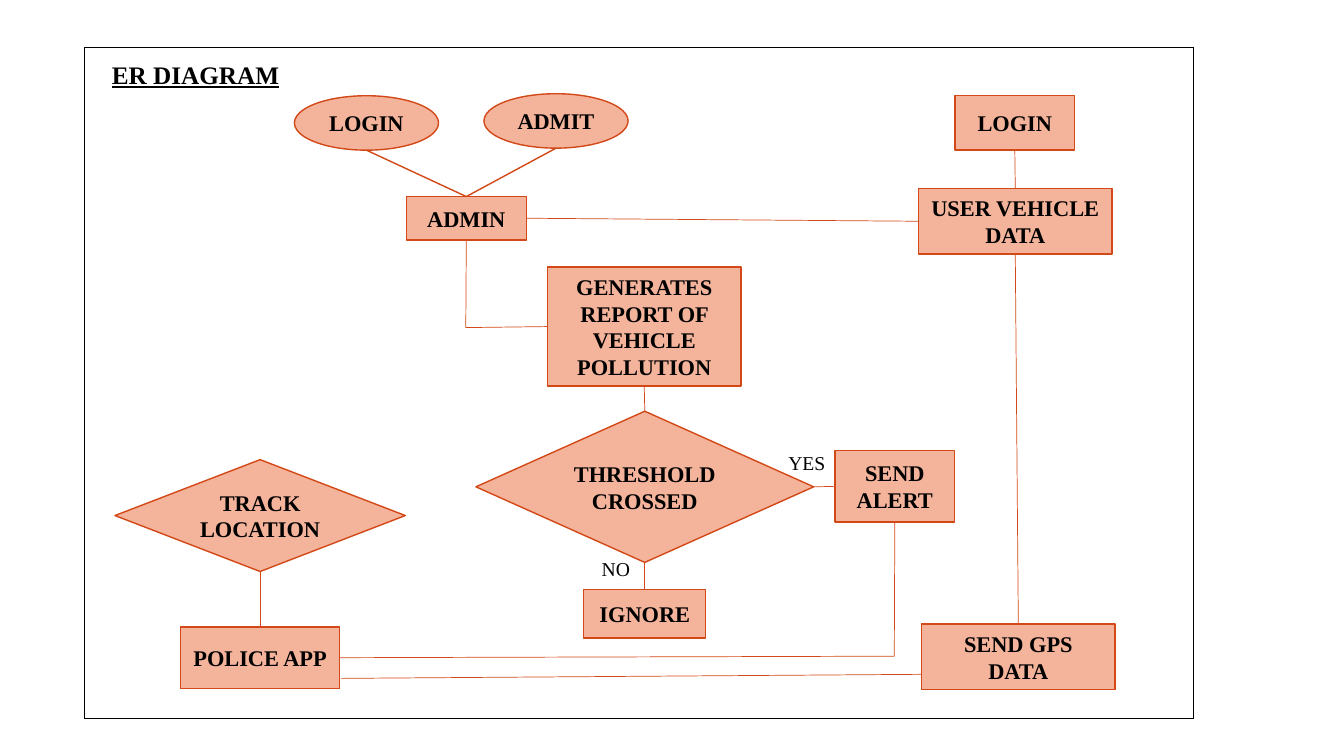
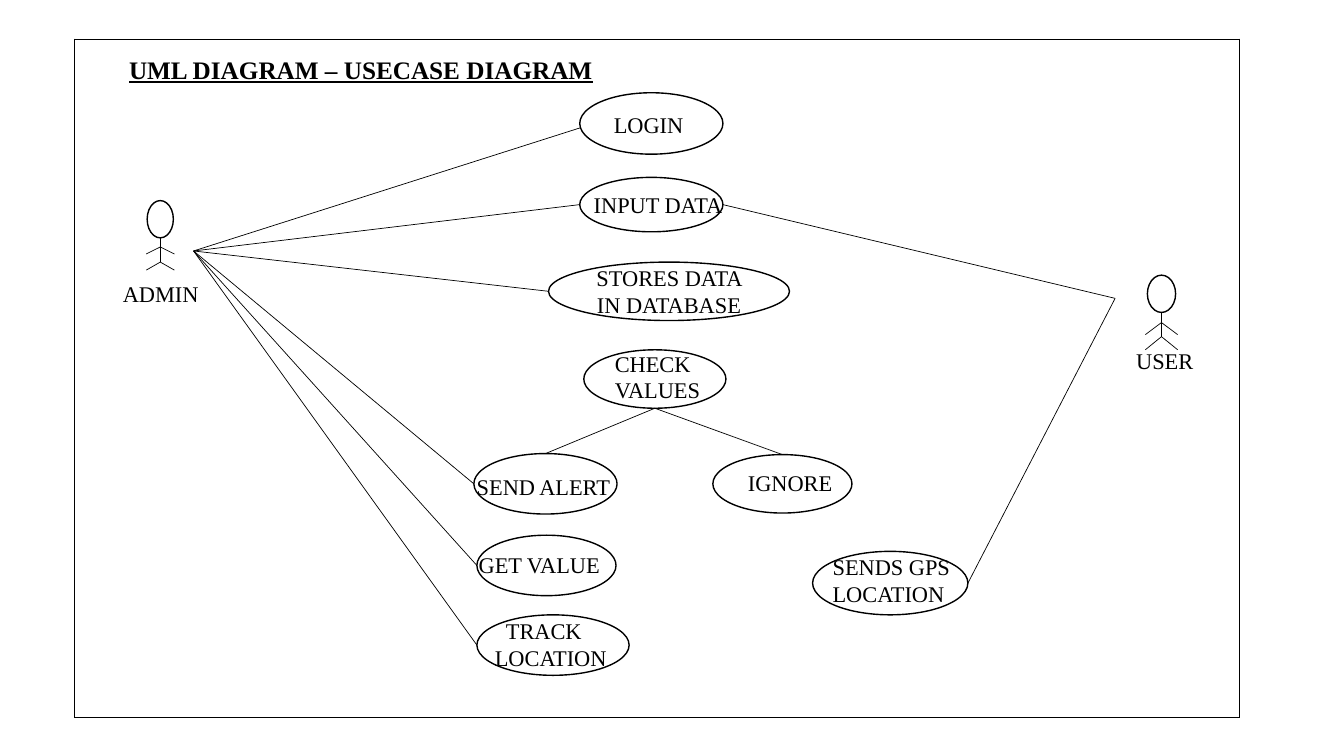
from lxml import etree
from pptx import Presentation
from pptx.dml.color import RGBColor
from pptx.enum.shapes import MSO_CONNECTOR, MSO_SHAPE
from pptx.enum.text import MSO_ANCHOR, MSO_AUTO_SIZE, PP_ALIGN
from pptx.oxml.ns import qn
from pptx.util import Inches, Pt

COLORS = {"ink": "000000", "paper": "FFFFFF", "peach": "F4B39B", "rust": "D34817"}
FONT = "Times New Roman"
RECT, OVAL = MSO_SHAPE.RECTANGLE, MSO_SHAPE.OVAL
DIAMOND, HEAD = MSO_SHAPE.FLOWCHART_DECISION, MSO_SHAPE.FLOWCHART_CONNECTOR
TOP, LEFT, BOTTOM, RIGHT = range(4)

ER_TITLE = ("ER DIAGRAM", (1.01, 0.57, 11.08, 0.4))
ER_FRAME = (0.84, 0.47, 11, 6.66)
ER_NODES = {
    "admin login": (OVAL, (2.92, 0.95, 1.43, 0.54), "LOGIN"),
    "admit": (OVAL, (4.8, 0.93, 1.43, 0.54), "ADMIT"),
    "admin": (RECT, (4.03, 1.95, 1.19, 0.43), "ADMIN"),
    "report": (RECT, (5.43, 2.65, 1.92, 1.18), "GENERATES REPORT OF VEHICLE POLLUTION"),
    "vehicle login": (RECT, (9.47, 0.95, 1.19, 0.54), "LOGIN"),
    "vehicle data": (RECT, (9.11, 1.87, 1.92, 0.65), "USER VEHICLE DATA"),
    "threshold": (DIAMOND, (4.72, 4.08, 3.35, 1.5), "THRESHOLD CROSSED"),
    "track": (DIAMOND, (1.14, 4.56, 2.88, 1.11), "TRACK LOCATION"),
    "police": (RECT, (1.79, 6.22, 1.58, 0.61), "POLICE APP"),
    "ignore": (RECT, (5.79, 5.85, 1.21, 0.48), "IGNORE"),
    "alert": (RECT, (8.28, 4.47, 1.19, 0.71), "SEND ALERT"),
    "gps": (RECT, (9.14, 6.19, 1.92, 0.65), "SEND GPS DATA"),
}
REPORT_BEND, ALERT_BEND = (4.62, 3.25), (8.87, 6.51)
ER_ATTRIBUTE_LINKS = [
    (("admin login", BOTTOM), ("admin", TOP)),
    (("admit", BOTTOM), ("admin", TOP)),
]
ER_LINKS = [
    (("admin", RIGHT), ("vehicle data", LEFT)),
    (("admin", BOTTOM), REPORT_BEND),
    (("report", LEFT), REPORT_BEND),
    (("vehicle login", BOTTOM), ("vehicle data", TOP)),
    (("vehicle data", BOTTOM), ("gps", TOP)),
    (("report", BOTTOM), ("threshold", TOP)),
    (("threshold", BOTTOM), ("ignore", TOP)),
    (("threshold", RIGHT), ("alert", LEFT)),
    (("track", BOTTOM), ("police", TOP)),
    ((3.38, 6.73), (9.14, 6.69)),
    (("police", RIGHT), ALERT_BEND),
    (("alert", BOTTOM), ALERT_BEND),
]
ER_LABELS = [("YES", (7.72, 4.42, 1.11, 0.34)), ("NO", (5.87, 5.48, 0.5, 0.34))]

UML_TITLE = ("UML DIAGRAM – USECASE DIAGRAM", (1.18, 0.52, 5.64, 0.4))
UML_FRAME = (0.74, 0.39, 11.55, 6.73)
USE_CASES = {
    "login": (OVAL, (5.75, 0.92, 1.42, 0.61), ""),
    "input": (OVAL, (5.75, 1.76, 1.42, 0.54), ""),
    "store": (OVAL, (5.44, 2.6, 2.39, 0.58), "STORES DATA IN DATABASE"),
    "check": (OVAL, (5.79, 3.47, 1.41, 0.58), ""),
    "alert": (OVAL, (4.7, 4.5, 1.42, 0.6), ""),
    "ignore": (OVAL, (7.07, 4.51, 1.38, 0.58), ""),
    "track": (OVAL, (4.73, 6.1, 1.51, 0.6), ""),
    "value": (OVAL, (4.73, 5.31, 1.38, 0.6), ""),
    "gps": (OVAL, (8.06, 5.47, 1.54, 0.63), ""),
}
UML_LABELS = [
    ("LOGIN", (5.99, 1.05, 1.03, 0.37)),
    ("INPUT DATA", (5.79, 1.85, 1.71, 0.37)),
    ("CHECK\nVALUES", (6, 3.42, 3.93, 0.64)),
    ("SEND ALERT", (4.63, 4.64, 1.77, 0.37)),
    ("IGNORE", (7.32, 4.61, 1.63, 0.37)),
    ("GET VALUE", (4.65, 5.42, 1.77, 0.37)),
    ("SENDS GPS\nLOCATION", (8.16, 5.44, 1.8, 0.64)),
    ("ADMIN", (1.12, 2.73, 1.15, 0.37)),
    ("USER", (11.17, 3.39, 0.88, 0.37)),
]
TRACK_LABEL = ("TRACK\nLOCATION", (4.81, 6.07, 1.51, 0.64))
TRACK_INDENT = 0.11
ADMIN_HUB, USER_HUB = (1.92, 2.49), (11.06, 2.96)
UML_LINKS = [
    (ADMIN_HUB, (5.75, 1.27)),
    *((ADMIN_HUB, (case, LEFT)) for case in ("input", "store", "alert", "value", "track")),
    (USER_HUB, ("input", RIGHT)),
    (USER_HUB, ("gps", RIGHT)),
    (("check", BOTTOM), ("alert", TOP)),
    (("check", BOTTOM), ("ignore", TOP)),
]
ACTORS = [
    dict(center=1.59, top=1.99, width=0.26, reach=0.14, shoulder=0.46, hand=0.53, hip=0.61, foot=0.69),
    dict(center=11.52, top=2.73, width=0.28, reach=0.16, shoulder=0.47, hand=0.59, hip=0.61, foot=0.74),
]
HEAD_HEIGHT = 0.37


def color(name):
    return RGBColor.from_string(COLORS[name])


def inches(values):
    return [Inches(value) for value in values]


def write(frame, text, size, bold=False, underline=False, align=PP_ALIGN.LEFT):
    frame.word_wrap = True
    frame.text = text
    for paragraph in frame.paragraphs:
        paragraph.alignment = align
        font = paragraph.font
        font.name, font.size, font.bold, font.underline = FONT, Pt(size), bold, underline
        font.color.rgb = color("ink")


def add_heading(slide, text, at):
    title = slide.shapes.title
    title.left, title.top, title.width, title.height = inches(at)
    frame = title.text_frame
    write(frame, text, 18, bold=True, underline=True)
    frame.auto_size = MSO_AUTO_SIZE.NONE
    frame.vertical_anchor = MSO_ANCHOR.TOP
    frame.paragraphs[0].line_spacing = 0.9


def add_node(slide, kind, at, text, fill, line, bold=False):
    node = slide.shapes.add_shape(kind, *inches(at))
    node.shadow.inherit = False
    node.fill.solid()
    node.fill.fore_color.rgb = color(fill)
    node.line.color.rgb = color(line)
    node.line.width = Pt(1)
    if text:
        write(node.text_frame, text, 16, bold, align=PP_ALIGN.CENTER)
        node.text_frame.vertical_anchor = MSO_ANCHOR.MIDDLE
    return node


def add_nodes(slide, nodes, fill, line, bold=False):
    return {key: add_node(slide, *node, fill, line, bold) for key, node in nodes.items()}


def locate(end, nodes):
    if not isinstance(end[0], str):
        return inches(end)
    node, side = nodes[end[0]], end[1]
    across, down = {TOP: (1, 0), LEFT: (0, 1), BOTTOM: (1, 2), RIGHT: (2, 1)}[side]
    return node.left + node.width * across // 2, node.top + node.height * down // 2


def add_links(slide, links, line, width=0.5, nodes=None):
    for start, end in links:
        link = slide.shapes.add_connector(
            MSO_CONNECTOR.STRAIGHT, *locate(start, nodes), *locate(end, nodes))
        link.line.color.rgb = color(line)
        link.line.width = Pt(width)
        etree.SubElement(link._element.spPr, qn("a:effectLst"))
        for point, join in ((start, link.begin_connect), (end, link.end_connect)):
            if isinstance(point[0], str) and nodes[point[0]].auto_shape_type != OVAL:
                join(nodes[point[0]], point[1])


def add_label(slide, text, at, size):
    label = slide.shapes.add_textbox(*inches(at))
    write(label.text_frame, text, size)
    return label


def add_actor(slide, center, top, width, reach, shoulder, hand, hip, foot):
    add_node(slide, HEAD, (center - width / 2, top, width, HEAD_HEIGHT), "", "paper", "ink")
    limbs = [((center, top + HEAD_HEIGHT), (center, top + hip))]
    for joint, tip in ((shoulder, hand), (hip, foot)):
        for side in (-reach, reach):
            limbs.append(((center, top + joint), (center + side, top + tip)))
    add_links(slide, limbs, "ink")


def add_frame(slide, at):
    table = slide.shapes.add_table(1, 1, *inches(at)).table
    table.first_row = table.horz_banding = False
    cell = table.cell(0, 0)
    properties = cell._tc.get_or_add_tcPr()
    for edge in ("lnL", "lnR", "lnT", "lnB"):
        border = etree.SubElement(properties, qn(f"a:{edge}"), w=str(Pt(1)))
        fill = etree.SubElement(border, qn("a:solidFill"))
        etree.SubElement(fill, qn("a:srgbClr"), val=COLORS["ink"])
    cell.fill.background()


def build_er(slide):
    add_heading(slide, *ER_TITLE)
    nodes = add_nodes(slide, ER_NODES, "peach", "rust", bold=True)
    add_links(slide, ER_ATTRIBUTE_LINKS, "rust", 1, nodes)
    add_links(slide, ER_LINKS, "rust", nodes=nodes)
    for text, at in ER_LABELS:
        add_label(slide, text, at, 14)
    add_frame(slide, ER_FRAME)


def build_uml(slide):
    add_heading(slide, *UML_TITLE)
    nodes = add_nodes(slide, USE_CASES, "paper", "ink")
    for text, at in UML_LABELS:
        add_label(slide, text, at, 16)
    track = add_label(slide, *TRACK_LABEL, 16)
    first_line = track.text_frame.paragraphs[0]._p.get_or_add_pPr()
    first_line.set("indent", str(Inches(TRACK_INDENT)))
    add_links(slide, UML_LINKS, "ink", nodes=nodes)
    for actor in ACTORS:
        add_actor(slide, **actor)
    add_frame(slide, UML_FRAME)


def main():
    deck = Presentation()
    deck.slide_width, deck.slide_height = Inches(13.33), Inches(7.5)
    for build in (build_er, build_uml):
        build(deck.slides.add_slide(deck.slide_layouts[5]))
    deck.save("out.pptx")


if __name__ == "__main__":
    main()
